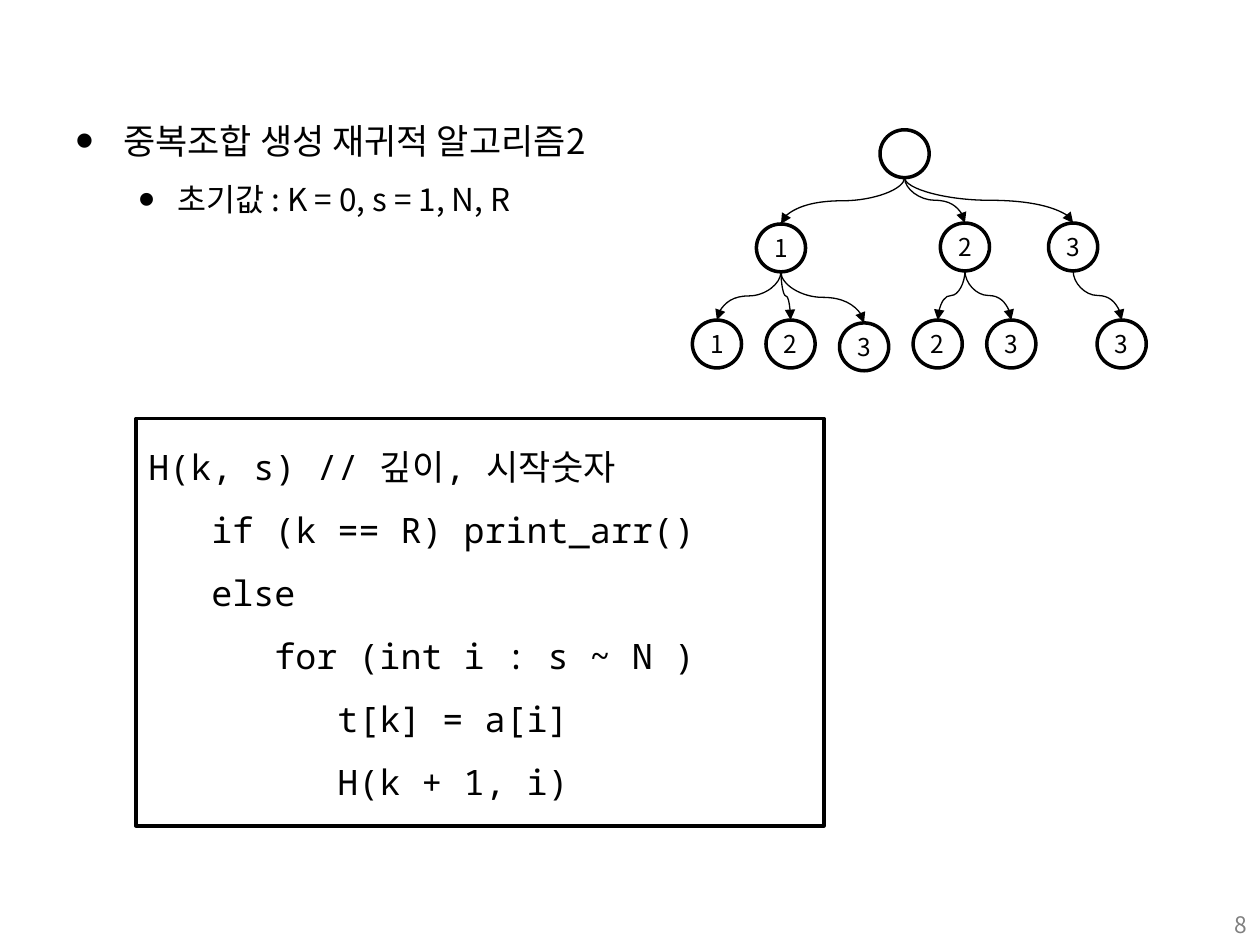
from dataclasses import dataclass

from lxml import etree
from pptx import Presentation
from pptx import util as u
from pptx.dml.color import RGBColor
from pptx.enum import shapes, text
from pptx.oxml.ns import qn

WIDTH, HEIGHT = 10, 7.5
SANS, MONO = "Noto Sans CJK KR", "Noto Sans Mono"
BLACK, WHITE, GRAY = "000000", "FFFFFF", "808080"

# Tree grid: centre of the first leaf column and of the root row, then the pitches
COL_0, ROW_0, COL_STEP, ROW_STEP = 5.69, 1.22, 0.584, 0.755
NODE_W, NODE_H = 0.39, 0.38


@dataclass(frozen=True)
class Node:
    label: str
    col: float
    row: float
    children: tuple = ()

    @property
    def x(self) -> float:
        return COL_0 + self.col * COL_STEP

    @property
    def y(self) -> float:
        return ROW_0 + self.row * ROW_STEP


@dataclass(frozen=True)
class Bullet:
    words: str
    size: float
    margin: float
    hang: float
    before: float


TREE = Node("", 2.55, 0, (
    Node("1", 0.87, 0.99, (Node("1", 0, 2), Node("2", 1, 2), Node("3", 2, 2.03))),
    Node("2", 3.37, 0.98, (Node("2", 3, 2), Node("3", 4, 2))),
    Node("3", 4.84, 0.98, (Node("3", 5.5, 2),)),
))
BULLETS = [
    Bullet("중복조합 생성 재귀적 알고리즘2", 20, 0.38, 0.38, 0),
    Bullet("초기값 : K = 0, s = 1, N, R", 18, 0.81, 0.31, 4),
]
CODE = [
    "H(k, s) // 깊이, 시작숫자",
    "\tif (k == R) print_arr()",
    "\telse",
    "\t\tfor (int i : s ~ N )",
    "\t\t\tt[k] = a[i]",
    "\t\t\tH(k + 1, i)",
]


def color(value: str) -> RGBColor:
    return RGBColor.from_string(value)


def assign(target, values: dict) -> None:
    for name, value in values.items():
        setattr(target, name, value)


def box(left: float, top: float, width: float, height: float) -> list:
    """Turn shares of the slide into lengths."""
    return [u.Inches(v) for v in (left * WIDTH, top * HEIGHT, width * WIDTH, height * HEIGHT)]


def write(p, words: str, size: float, face: str = SANS, ink: str = BLACK, **layout) -> None:
    assign(p, layout)
    r = p.add_run()
    r.text = words
    assign(r.font, {"size": u.Pt(size), "name": face})
    r.font.color.rgb = color(ink)
    etree.SubElement(r.font._element, qn("a:ea"), typeface=face)


def paragraph(tf, index: int):
    return tf.add_paragraph() if index else tf.paragraphs[0]


def add_outlined(s, kind, place: list):
    sp = s.shapes.add_shape(kind, *place)
    sp.shadow.inherit = False
    sp.line.color.rgb = color(BLACK)
    sp.line.width = u.Pt(2)
    return sp


def add_bullets(s, bullets: list) -> None:
    tf = s.shapes.add_textbox(*box(0.05, 0.107, 0.9, 0.716)).text_frame
    tf.word_wrap = True
    for i, item in enumerate(bullets):
        p = paragraph(tf, i)
        pPr = p._p.get_or_add_pPr()
        pPr.set("marL", str(u.Inches(item.margin)))
        pPr.set("indent", str(-u.Inches(item.hang)))
        etree.SubElement(pPr, qn("a:buSzPct"), val="150000")
        etree.SubElement(pPr, qn("a:buFont"), typeface="Arial")
        etree.SubElement(pPr, qn("a:buChar"), char="•")
        write(p, item.words, item.size, level=i, line_spacing=1.3,
              space_before=u.Pt(item.before))


def add_code(s, lines: list) -> None:
    sp = add_outlined(s, shapes.MSO_SHAPE.RECTANGLE, box(0.108, 0.443, 0.546, 0.431))
    sp.fill.solid()
    sp.fill.fore_color.rgb = color(WHITE)
    tf = sp.text_frame
    assign(tf, {"word_wrap": False, "vertical_anchor": text.MSO_ANCHOR.TOP})
    for i, line in enumerate(lines):
        write(paragraph(tf, i), line, 20, MONO,
              alignment=text.PP_ALIGN.LEFT, line_spacing=1.5)


def add_node(s, node: Node) -> None:
    place = [u.Inches(v) for v in
             (node.x - NODE_W / 2, node.y - NODE_H / 2, NODE_W, NODE_H)]
    sp = add_outlined(s, shapes.MSO_SHAPE.OVAL, place)
    sp.fill.background()
    if node.label:
        tf = sp.text_frame
        assign(tf, {"vertical_anchor": text.MSO_ANCHOR.MIDDLE, "margin_left": 0,
                    "margin_right": 0, "margin_top": 0, "margin_bottom": 0})
        write(tf.paragraphs[0], node.label, 14, alignment=text.PP_ALIGN.CENTER)


def add_branch(s, parent: Node, child: Node) -> None:
    """Draw a curve that leaves the parent downwards: a sideways curve, turned."""
    top, bottom = parent.y + NODE_H / 2, child.y - NODE_H / 2
    drop, run = bottom - top, abs(child.x - parent.x)
    mid_x, mid_y = (parent.x + child.x) / 2, (top + bottom) / 2
    ends = (mid_x - drop / 2, mid_y - run / 2, mid_x + drop / 2, mid_y + run / 2)
    cx = s.shapes.add_connector(shapes.MSO_CONNECTOR.CURVE, *[u.Inches(v) for v in ends])
    spPr = cx._element.spPr
    rightward = child.x > parent.x
    spPr.xfrm.set("rot", str((270 if rightward else 90) * 60000))
    if rightward:
        spPr.xfrm.set("flipH", "1")
    cx.line.color.rgb = color(BLACK)
    cx.line.width = u.Pt(0.75)
    etree.SubElement(cx.line._get_or_add_ln(), qn("a:tailEnd"), type="triangle")
    etree.SubElement(spPr, qn("a:effectLst"))


def add_tree(s, node: Node) -> None:
    add_node(s, node)
    for child in node.children:
        add_branch(s, node, child)
        add_tree(s, child)


def add_page_number(s, number: str) -> None:
    tf = s.shapes.add_textbox(*box(0.767, 0.957, 0.233, 0.053)).text_frame
    tf.word_wrap = True
    write(tf.paragraphs[0], number, 13, ink=GRAY, alignment=text.PP_ALIGN.RIGHT)


def main() -> None:
    prs = Presentation()
    assign(prs, {"slide_width": u.Inches(WIDTH), "slide_height": u.Inches(HEIGHT)})
    s = prs.slides.add_slide(prs.slide_layouts[6])
    add_bullets(s, BULLETS)
    add_page_number(s, "8")
    add_code(s, CODE)
    add_tree(s, TREE)
    prs.save("out.pptx")


if __name__ == "__main__":
    main()
